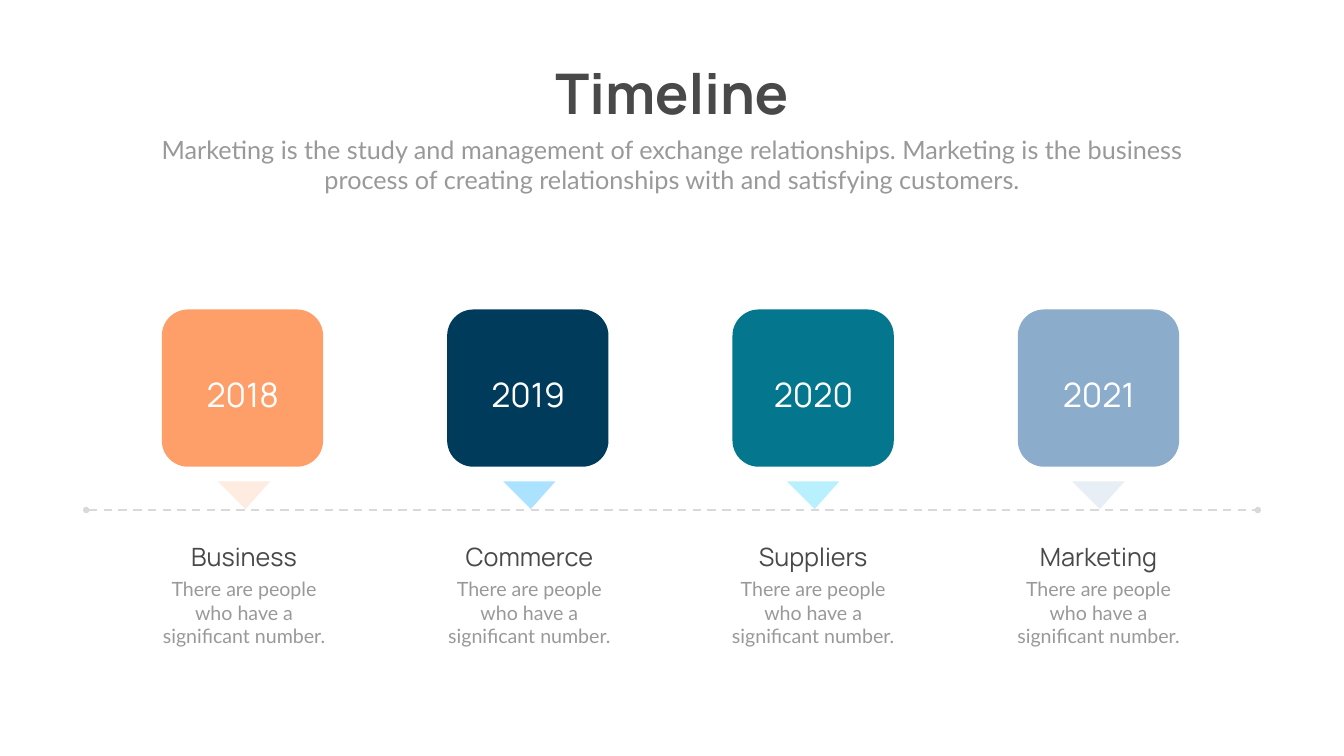
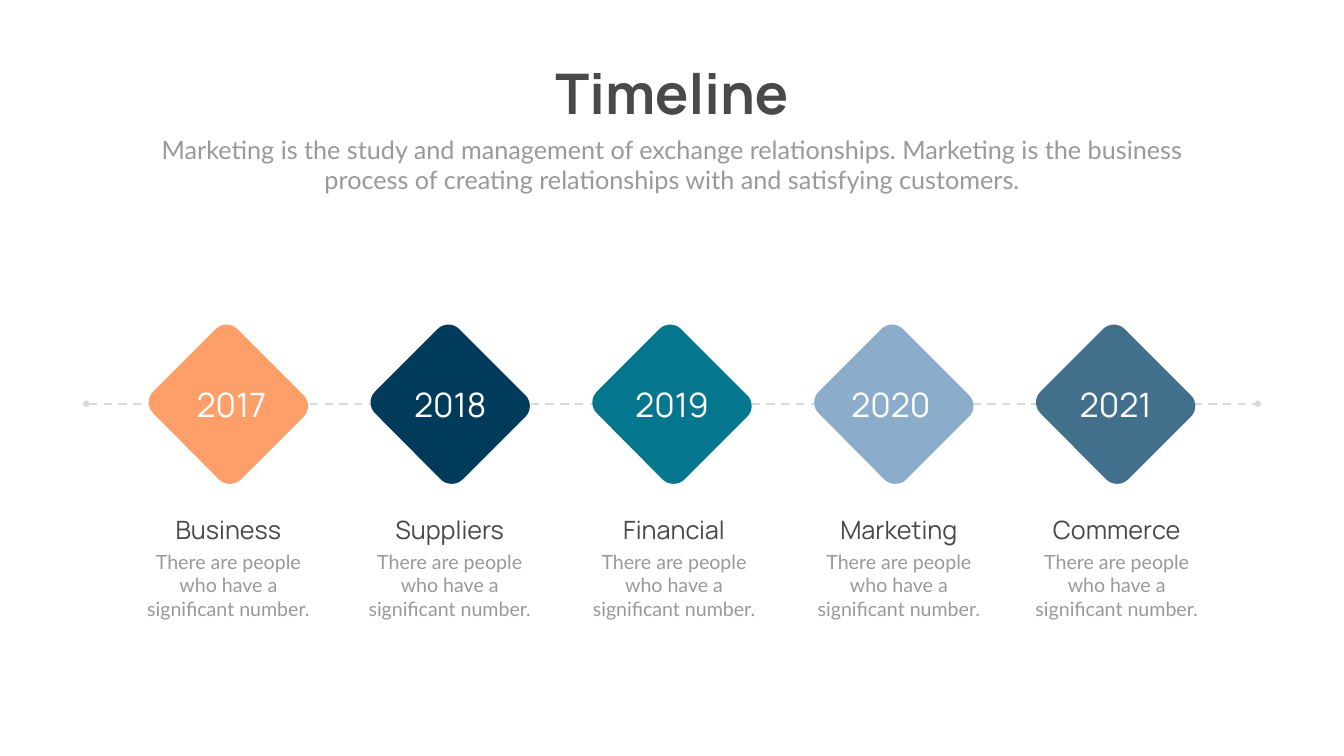
from lxml import etree
from pptx import Presentation
from pptx.dml.color import RGBColor
from pptx.enum.dml import MSO_LINE
from pptx.enum.shapes import MSO_CONNECTOR, MSO_SHAPE
from pptx.enum.text import MSO_AUTO_SIZE, PP_ALIGN
from pptx.oxml.ns import qn
from pptx.util import Inches, Pt

DASH = MSO_LINE.DASH
STRAIGHT = MSO_CONNECTOR.STRAIGHT
ROUNDED = MSO_SHAPE.ROUNDED_RECTANGLE
GROW = MSO_AUTO_SIZE.SHAPE_TO_FIT_TEXT
CENTER = PP_ALIGN.CENTER

HEADING_FONT, BODY_FONT = "Manrope", "Lato"
DARK, GRAY, RULE, WHITE = "494949", "999999", "D9D9D9", "FFFFFF"
ORANGE, NAVY, TEAL, SKY, STEEL = "FE9F6A", "003B5B", "04768D", "8CACCC", "416F8C"

TITLE = "Timeline"
SUBTITLE = (
    "Marketing is the study and management of exchange relationships. "
    "Marketing is the business process of creating relationships with "
    "and satisfying customers."
)
DETAIL = "There are people who have a significant number."

TILE_STOPS = [
    ("2018", "Business", ORANGE, "FFECE1", 3.02),
    ("2019", "Commerce", NAVY, "ABE2FF", 8.68),
    ("2020", "Suppliers", TEAL, "B8F1FD", 14.31),
    ("2021", "Marketing", SKY, "E8EEF5", 19.97),
]
DIAMOND_STOPS = [
    ("2017", "Business", ORANGE, 3.52, 2.71),
    ("2018", "Suppliers", NAVY, 7.86, 7.1),
    ("2019", "Financial", TEAL, 12.26, 11.55),
    ("2020", "Marketing", SKY, 16.6, 16.01),
    ("2021", "Commerce", STEEL, 21.06, 20.33),
]
DIAMOND_CORNERS = [
    [(3.1, 1.86), (1.86, 3.1)],
    [(1.74, 3.22), (1.54, 3.22), (1.42, 3.1)],
    [(0.12, 1.79)],
    [(0, 1.67), (0, 1.48), (0.12, 1.36)],
    [(1.36, 0.12)],
    [(1.48, 0), (1.67, 0), (1.79, 0.12)],
    [(3.1, 1.43)],
    [(3.22, 1.55), (3.22, 1.74), (3.1, 1.86)],
]


def color(value):
    """Turn a hex string into a colour."""
    return RGBColor.from_string(value)


def paint(shape, fill):
    """Give a shape a flat fill with no outline or shadow."""
    shape.shadow.inherit = False
    shape.fill.solid()
    shape.fill.fore_color.rgb = color(fill)
    shape.line.fill.background()


def add_text(page, text, box, *, size, font=HEADING_FONT, ink=DARK, bold=False, wrap=True):
    """Add a centred text box at left, top, width, height."""
    frame = page.shapes.add_textbox(*map(Inches, box)).text_frame
    frame.word_wrap = wrap
    frame.auto_size = GROW
    para = frame.paragraphs[0]
    para.alignment = CENTER
    span = para.add_run()
    span.text = text
    span.font.name = font
    span.font.size = Pt(size)
    span.font.bold = bold
    span.font.color.rgb = color(ink)


def add_outline(page, left, top, points, fill):
    """Add a closed outline whose points are relative to left, top."""
    corners = [(Inches(left + x), Inches(top + y)) for x, y in points]
    builder = page.shapes.build_freeform(*corners[0])
    builder.add_line_segments(corners[1:], close=True)
    shape = builder.convert_to_shape()
    paint(shape, fill)
    return shape


def round_corners(shape):
    """Turn the three segments after each straight side into one curve."""
    lines = list(shape._element.iter(qn("a:lnTo")))
    for first in range(1, len(lines), 4):
        curve = etree.Element(qn("a:cubicBezTo"))
        lines[first].addprevious(curve)
        for line in lines[first:first + 3]:
            curve.append(line[0])
            line.getparent().remove(line)


def add_axis(page, top):
    """Add the dashed time axis with a dot at each end."""
    axis = page.shapes.add_connector(
        STRAIGHT, Inches(1.71), Inches(top), Inches(24.95), Inches(top)
    )
    axis.line.color.rgb = color(RULE)
    axis.line.width = Pt(3)
    axis.line.dash_style = DASH
    outline = axis.line._get_or_add_ln()
    for end in ("a:headEnd", "a:tailEnd"):
        etree.SubElement(outline, qn(end), type="oval")
    etree.SubElement(axis._element.spPr, qn("a:effectLst"))


def add_header(page):
    """Add the title and the subtitle."""
    add_text(page, TITLE, (10.74, 1.12, 5.18, 1.45), size=80, bold=True, wrap=False)
    add_text(page, SUBTITLE, (2.92, 2.61, 20.82, 1.31), size=36, font=BODY_FONT, ink=GRAY)


def add_year(page, year, box):
    """Add a year in white."""
    add_text(page, year, box, size=48, ink=WHITE)


def add_caption(page, heading, left, top):
    """Add a heading with its detail below."""
    add_text(page, heading, (left, top, 3.64, 0.71), size=36)
    add_text(page, DETAIL, (left, top + 0.71, 3.64, 1.51), size=28, font=BODY_FONT, ink=GRAY)


def add_tile(page, year, fill, box):
    """Add a rounded tile carrying a year."""
    left, top, width, height = box
    paint(page.shapes.add_shape(ROUNDED, *map(Inches, box)), fill)
    add_year(page, year, (left - 0.1, top + 1.23, width + 0.21, 0.91))


def add_pointer(page, left, top, fill):
    """Add a triangle pointing down to the axis."""
    add_outline(page, left, top, [(1.04, 0), (0.55, 0.55), (0, 0)], fill)


def add_diamond(page, left, top, fill):
    """Add a diamond with rounded corners."""
    points = [point for part in DIAMOND_CORNERS for point in part]
    round_corners(add_outline(page, left, top, points, fill))


def build_tile_page(page):
    """Build the timeline of four tiles above the axis."""
    add_header(page)
    for index, (year, heading, fill, tint, caption_left) in enumerate(TILE_STOPS):
        add_tile(page, year, fill, (3.21 + 5.66 * index, 6.14, 3.2, 3.12))
        add_pointer(page, caption_left + 1.3, 9.55, tint)
        add_caption(page, heading, caption_left, 10.69)
    add_axis(page, 10.12)


def build_diamond_page(page):
    """Build the timeline of five diamonds on the axis."""
    add_header(page)
    add_axis(page, 8.01)
    for index, (year, heading, fill, year_left, caption_left) in enumerate(DIAMOND_STOPS):
        add_diamond(page, 2.92 + 4.4 * index, 6.41, fill)
        add_year(page, year, (year_left, 7.56, 2.14, 0.91))
        add_caption(page, heading, caption_left, 10.15)


def main():
    """Build and save the deck."""
    deck = Presentation()
    deck.slide_width = Inches(26.66)
    deck.slide_height = Inches(15)
    for build in (build_tile_page, build_diamond_page):
        build(deck.slides.add_slide(deck.slide_layouts[6]))
    deck.save("out.pptx")


if __name__ == "__main__":
    main()
